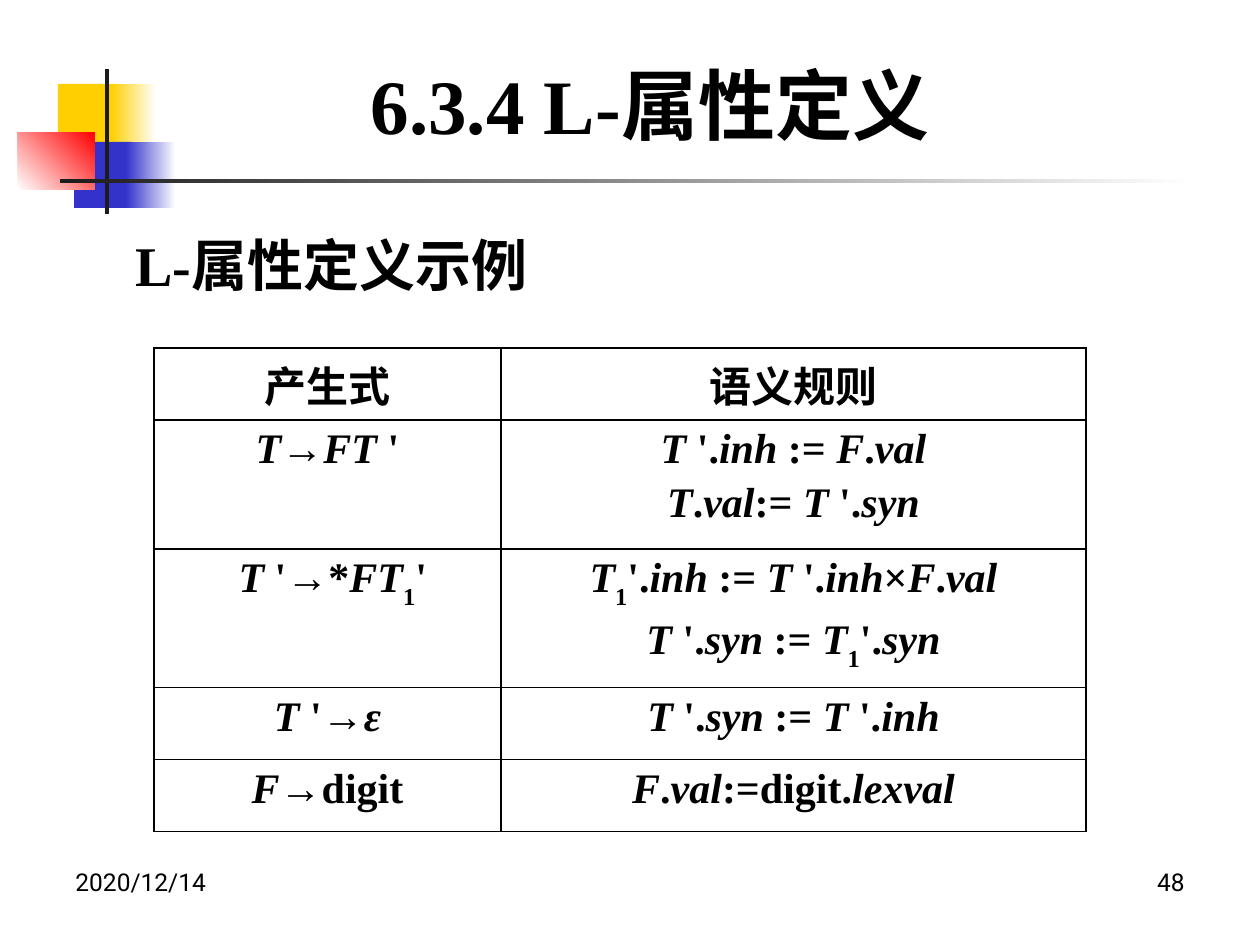
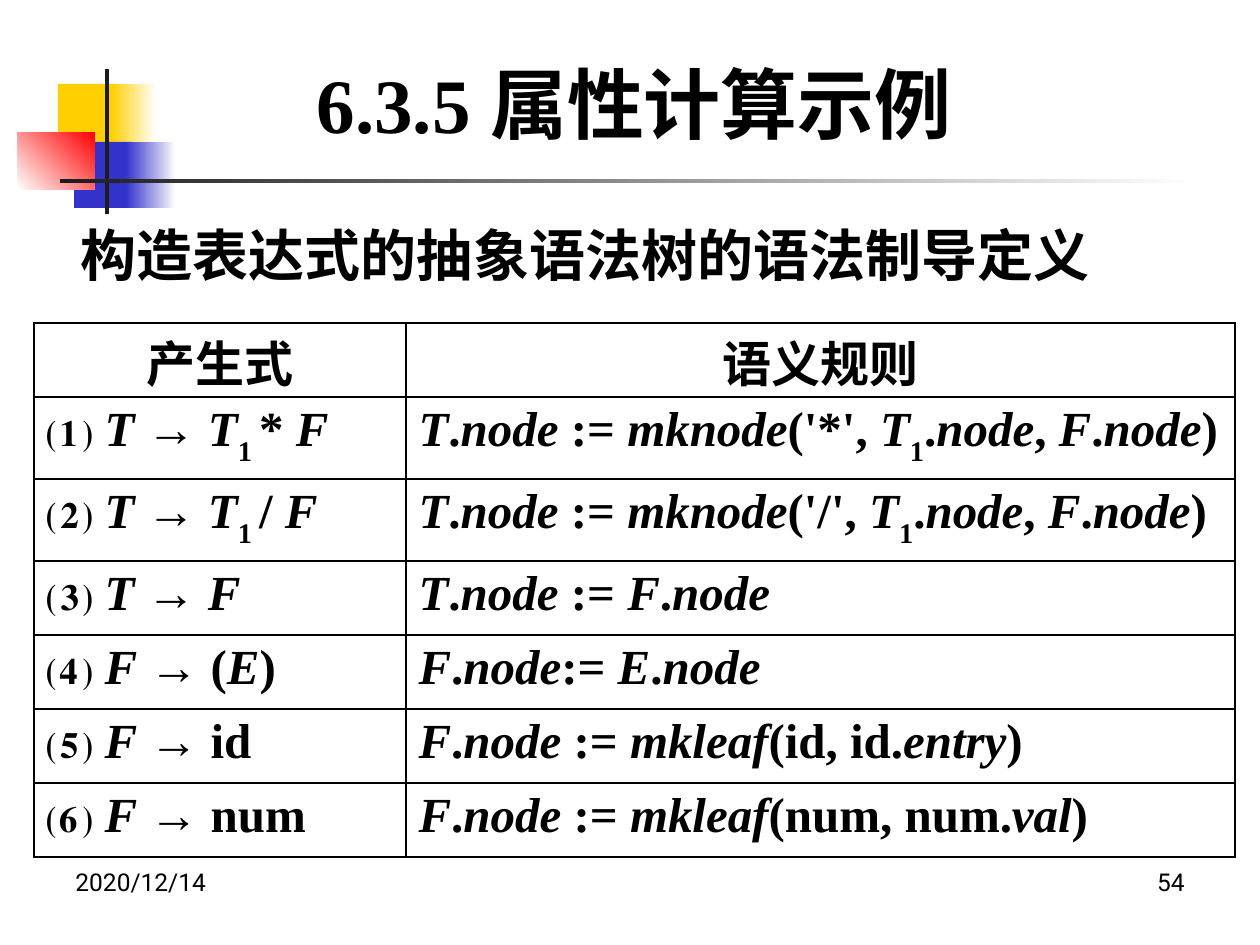
from lxml import etree
from pptx import Presentation
from pptx import util as u
from pptx.dml.color import RGBColor
from pptx.enum import shapes, text
from pptx.oxml import ns

PX = 914400 / 126  # one px in EMU
COLORS = {"black": "000000", "white": "FFFFFF", "ink": "1C1C1C",
          "yellow": "FFCF01", "blue": "3333CC", "red": "FF0000"}
SERIF, SANS, CJK = "Times New Roman", "Roboto", "Noto Sans CJK SC"
LEFT, CENTER, RIGHT = text.PP_ALIGN.LEFT, text.PP_ALIGN.CENTER, text.PP_ALIGN.RIGHT

# Corner ornament and rule: box, start colour, end colour, angle
ORNAMENT = [
    ((58, 84, 60, 66), "yellow", None, 0),
    ((111, 84, 45, 66), "yellow", "white", 0),
    ((74, 142, 58, 66), "blue", None, 0),
    ((126, 142, 50, 66), "blue", "white", 0),
    ((18, 132, 77, 58), "white", "red", 45),
    ((105, 69, 4, 145), "ink", None, 0),
    ((60, 179, 1134, 4), "ink", "white", 0),
]

# Rules use _ around italics and ~ around subscripts; each cell lists its lines
L_ATTRIBUTE_RULES = [
    (["产生式"], ["语义规则"]),
    (["_T_→_FT _'"], ["_T _'._inh_ := _F_._val_", "_T_._val_:=_ T _'._syn_"]),
    (["_ T _'→*_FT_~1~'"],
     ["_T_~1~'._inh_ := _T _'._inh_×_F_._val_", "_T _'._syn _:=_ T_~1~'._syn_"]),
    (["_T _'→_ε_"], ["_T _'._syn_ := _T _'._inh_"]),
    (["_F_→digit"], ["_F_._val_:=digit._lexval_"]),
]
SYNTAX_TREE_RULES = [
    (["产生式"], ["语义规则"]),
    (["⑴ _T_ → _T_~1 ~* _F_"],
     ["_T_._node_ := _mknode_('*', _T_~1~._node_, _F_._node_)"]),
    (["⑵ _T_ → _T_~1 ~/ _F_"],
     ["_T_._node_ := _mknode_('/', _T_~1~._node_, _F_._node_)"]),
    (["⑶ _T_ → _F_"], ["_T_._node_ := _F_._node_"]),
    (["⑷ _F_ → (_E_)"], ["_F_._node_:= _E_._node_"]),
    (["⑸ _F_ → id"], ["_F_._node_ := _mkleaf_(id, id._entry_)"]),
    (["⑹ _F_ → num"], ["_F_._node_ := _mkleaf_(num, num._val_)"]),
]


def px(n):
    return u.Emu(round(n * PX))


def rgb(name):
    return RGBColor.from_string(COLORS[name])


def place(sp, box):
    sp.left, sp.top, sp.width, sp.height = map(px, box)


def add_run(p, words, size, font=SERIF, bold=True, italic=False, sub=False):
    r = p.add_run()
    r.text = words
    f = r.font
    f.name, f.size, f.bold, f.italic = font, u.Pt(size), bold, italic
    f.color.rgb = rgb("black")
    rpr = r._r.get_or_add_rPr()
    if sub:
        rpr.set("baseline", "-30000")
    if max(words) >= "一":  # Chinese characters need their own face
        etree.SubElement(rpr, ns.qn("a:ea"), typeface=CJK)


def add_rule(p, markup, size):
    for i, chunk in enumerate(markup.split("_")):
        for j, words in enumerate(chunk.split("~")):
            if words:
                add_run(p, words, size, italic=i % 2 == 1, sub=j % 2 == 1)


def add_ornament(s):
    for box, start, end, angle in ORNAMENT:
        sp = s.shapes.add_shape(shapes.MSO_SHAPE.RECTANGLE, *map(px, box))
        sp.shadow.inherit = False
        sp.line.fill.background()
        if end:
            sp.fill.gradient()
            sp.fill.gradient_angle = angle
            for stop, color in zip(sp.fill.gradient_stops, (start, end)):
                stop.color.rgb = rgb(color)
        else:
            sp.fill.solid()
            sp.fill.fore_color.rgb = rgb(start)


def add_footer(s, number):
    for x, words, align in ((63, "2020/12/14", LEFT), (903, number, RIGHT)):
        tf = s.shapes.add_textbox(px(x), px(861), px(294), px(65)).text_frame
        tf.word_wrap = True
        p = tf.paragraphs[0]
        p.alignment = align
        add_run(p, words, 14, SANS, bold=False)


def fill_heading(sp, box, words, size, align):
    place(sp, box)
    tf = sp.text_frame
    tf.word_wrap = True
    tf.auto_size = text.MSO_AUTO_SIZE.NONE
    tf.vertical_anchor = text.MSO_ANCHOR.MIDDLE
    tf.margin_top = tf.margin_bottom = 0
    p = tf.paragraphs[0]
    p.alignment = align
    p.space_before = u.Pt(0)
    ppr = p._p.get_or_add_pPr()
    ppr.set("marL", "0")
    ppr.set("indent", "0")
    etree.SubElement(ppr, ns.qn("a:buNone"))
    add_run(p, words, size)


def set_borders(cell):
    tcpr = cell._tc.get_or_add_tcPr()
    for i, side in enumerate(("lnL", "lnR", "lnT", "lnB")):
        ln = etree.Element(ns.qn("a:" + side), w=str(u.Pt(1)))
        fill = etree.SubElement(ln, ns.qn("a:solidFill"))
        etree.SubElement(fill, ns.qn("a:srgbClr"), val=COLORS["black"])
        tcpr.insert(i, ln)


def add_rule_table(s, origin, widths, heights, rules, size, align, header_margins):
    box = (*origin, sum(widths), sum(heights))
    table = s.shapes.add_table(len(rules), 2, *map(px, box)).table
    table.first_row = table.horz_banding = False
    for column, width in zip(table.columns, widths):
        column.width = px(width)
    for i, (row, height) in enumerate(zip(table.rows, heights)):
        row.height = px(height)
        for cell, lines in zip(row.cells, rules[i]):
            cell.fill.background()
            set_borders(cell)
            if i == 0:
                cell.margin_top, cell.margin_bottom = map(px, header_margins)
            tf = cell.text_frame
            for k, line in enumerate(lines):
                p = tf.add_paragraph() if k else tf.paragraphs[0]
                p.alignment = align if i else CENTER
                if k:
                    p.space_before = u.Pt(4)
                add_rule(p, line, size)


def add_rules_slide(prs, number, title, subtitle, table):
    s = prs.slides.add_slide(prs.slide_layouts[1])
    add_ornament(s)
    add_footer(s, number)
    fill_heading(s.shapes.title, size=44, **title)
    fill_heading(s.placeholders[1], size=32, **subtitle)
    add_rule_table(s, **table)


def main():
    prs = Presentation()
    prs.slide_width, prs.slide_height = px(1260), px(945)

    # L-attributed definition
    add_rules_slide(
        prs, "48",
        dict(box=(358, 45, 669, 118), words="6.3.4 L-属性定义", align=LEFT),
        dict(box=(123, 185, 844, 159), words="L-属性定义示例", align=LEFT),
        dict(origin=(154, 348), widths=(347, 585), heights=(72, 129, 129, 72, 72),
             rules=L_ATTRIBUTE_RULES, size=24, align=CENTER, header_margins=(6, 6)))

    # Syntax-directed definition of the abstract syntax tree
    add_rules_slide(
        prs, "54",
        dict(box=(17, 50, 1235, 105), words="6.3.5 属性计算示例", align=CENTER),
        dict(box=(25, 214, 1121, 81), words="构造表达式的抽象语法树的语法制导定义",
             align=CENTER),
        dict(origin=(34, 323), widths=(372, 829), heights=[74] * 7,
             rules=SYNTAX_TREE_RULES, size=28, align=LEFT, header_margins=(3, 0)))

    prs.save("out.pptx")


if __name__ == "__main__":
    main()
